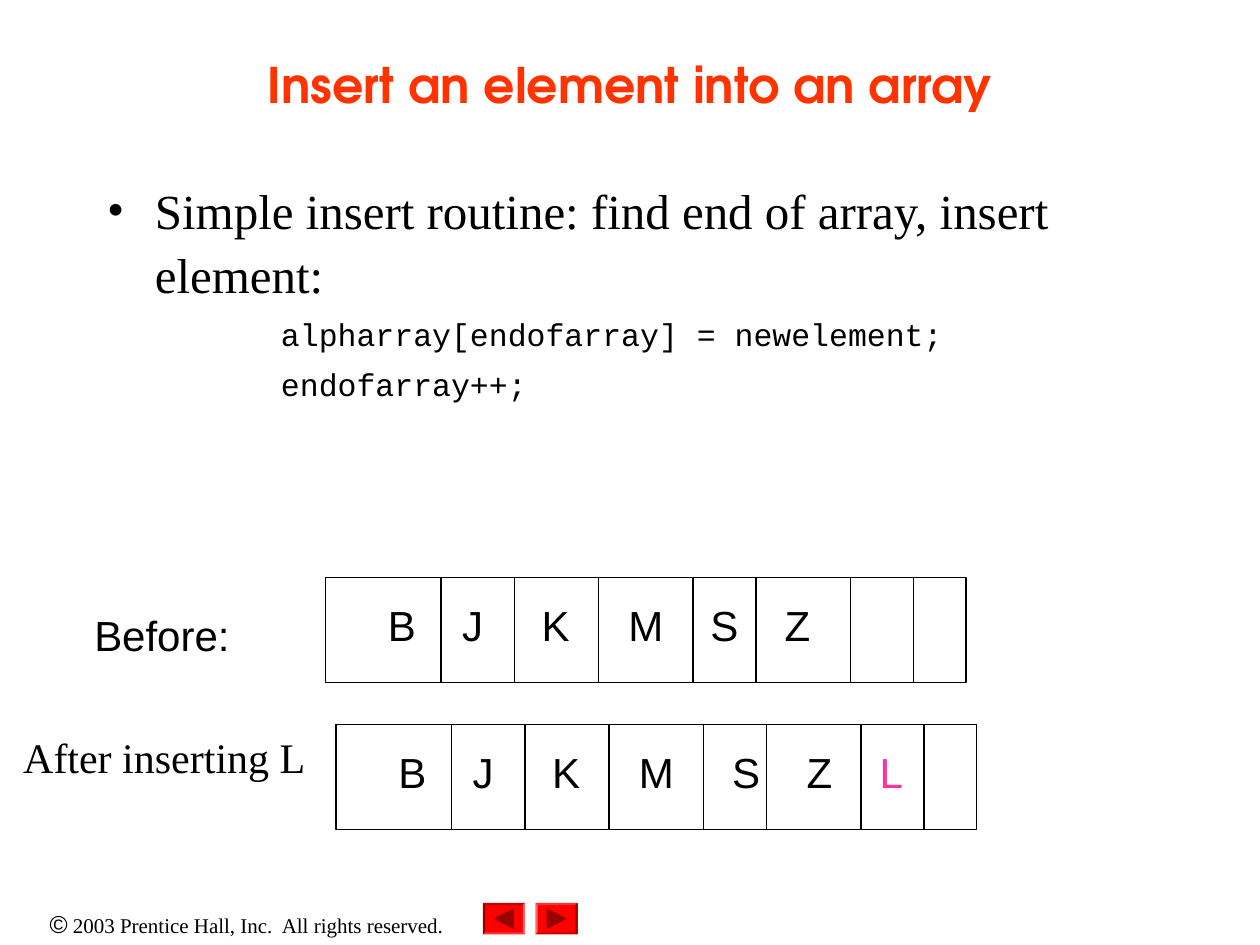
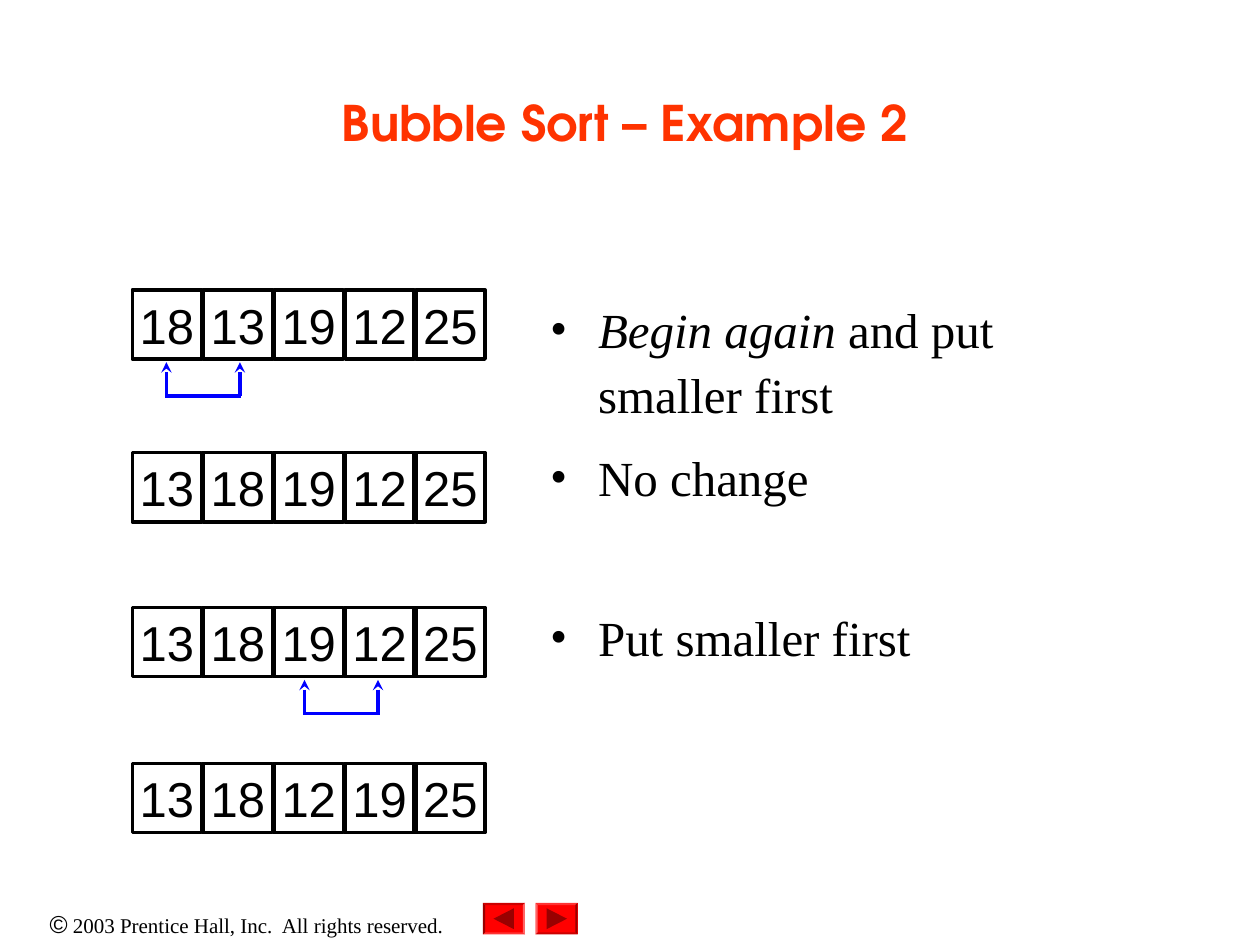
from dataclasses import dataclass
from typing import Optional

from lxml.etree import SubElement
from pptx import Presentation
from pptx.dml.color import RGBColor
from pptx.enum.shapes import MSO_CONNECTOR, MSO_SHAPE
from pptx.enum.text import MSO_ANCHOR, MSO_AUTO_SIZE, PP_ALIGN
from pptx.oxml.ns import qn
from pptx.util import Emu, Inches, Pt

# Shared look
BLACK = RGBColor(0x00, 0x00, 0x00)
BLUE = RGBColor(0x00, 0x00, 0xFF)
PINK = RGBColor(0xFF, 0x33, 0x99)
TITLE = RGBColor(0xFF, 0x33, 0x00)
RED = RGBColor(0xFF, 0x00, 0x00)
LIGHT = RGBColor(0xFF, 0x66, 0x66)
PALE = RGBColor(0xFF, 0x33, 0x33)
DIM = RGBColor(0xCC, 0x00, 0x00)
DARK = RGBColor(0x99, 0x00, 0x00)
SANS, SERIF, MONO = "Arial", "Times New Roman", "Courier New"
HEAD = "TeX Gyre Adventor"

# Grid: 120 columns by 90 rows
WIDE, HIGH = Inches(10), Inches(7.5)
COLS = 120
UNIT = WIDE / COLS


@dataclass(frozen=True)
class Box:
    x: float
    y: float
    w: float
    h: float

    def emu(self) -> tuple:
        return tuple(grid(n) for n in (self.x, self.y, self.w, self.h))


@dataclass(frozen=True)
class Run:
    text: str
    size: float
    font: str
    color: RGBColor = BLACK
    bold: bool = False
    slant: bool = False


@dataclass(frozen=True)
class Array:
    x: float
    y: float
    runs: list
    stops: list


@dataclass(frozen=True)
class Strip:
    y: float
    nums: tuple
    swap: Optional[float] = None


@dataclass(frozen=True)
class Face:
    color: RGBColor
    points: tuple


def grid(n: float) -> Emu:
    return Emu(round(n * UNIT))


# Text helpers
def add_runs(para, runs: list) -> None:
    for item in runs:
        run = para.add_run()
        run.text = item.text
        font = run.font
        font.size, font.name = Pt(item.size), item.font
        font.bold, font.italic = item.bold, item.slant
        font.color.rgb = item.color


def add_text(slide, box: Box, runs: list, align=PP_ALIGN.LEFT):
    frame = slide.shapes.add_textbox(*box.emu()).text_frame
    frame.word_wrap = True
    para = frame.paragraphs[0]
    para.alignment = align
    add_runs(para, runs)
    return para


def set_stops(para, stops: list) -> None:
    tabs = SubElement(para._p.get_or_add_pPr(), qn("a:tabLst"))
    for stop in stops:
        SubElement(tabs, qn("a:tab"), pos=str(Inches(stop)), algn="l")


def set_mark(para, left: float, mark: str = "") -> None:
    props = para._p.get_or_add_pPr()
    props.set("marL", str(Inches(left)))
    props.set("indent", str(-Inches(left) if mark else 0))
    if mark:
        color = SubElement(props, qn("a:buClr"))
        SubElement(color, qn("a:srgbClr"), val=str(BLACK))
        SubElement(props, qn("a:buFont"), typeface=SERIF)
        SubElement(props, qn("a:buChar"), char=mark)
    else:
        SubElement(props, qn("a:buNone"))


def place(shape, box: Box, anchor):
    shape.left, shape.top, shape.width, shape.height = box.emu()
    frame = shape.text_frame
    frame.word_wrap = True
    frame.auto_size = MSO_AUTO_SIZE.NONE
    frame.vertical_anchor = anchor
    return frame


def add_item(frame, runs: list, left: float = 0.38, mark: str = "•",
             before: float = 0, after: float = 0) -> None:
    first = frame.paragraphs[0]
    para = frame.add_paragraph() if first.runs else first
    set_mark(para, left, mark)
    para.alignment = PP_ALIGN.LEFT
    para.line_spacing = 1.1
    para.space_before, para.space_after = Pt(before), Pt(after)
    add_runs(para, runs)


# Shape helpers
def add_line(slide, start: tuple, end: tuple, color: RGBColor,
             width: float, arrow: bool = False) -> None:
    line = slide.shapes.add_connector(
        MSO_CONNECTOR.STRAIGHT, *(grid(n) for n in start + end))
    line.line.color.rgb, line.line.width = color, Pt(width)
    if arrow:
        SubElement(line.line._get_or_add_ln(), qn("a:headEnd"), type="stealth")
    SubElement(line._element.spPr, qn("a:effectLst"))


def add_rect(slide, box: Box, width: float):
    rect = slide.shapes.add_shape(MSO_SHAPE.RECTANGLE, *box.emu())
    rect.shadow.inherit = False
    rect.fill.background()
    rect.line.color.rgb, rect.line.width = BLACK, Pt(width)
    return rect


# Footer with two arrow buttons
KEY_W, KEY_H, RIM = 4, 3, 0.2
A, B, C, D = (0, 0), (KEY_W, 0), (KEY_W, KEY_H), (0, KEY_H)
E, F = (RIM, RIM), (KEY_W - RIM, RIM)
G, H = (KEY_W - RIM, KEY_H - RIM), (RIM, KEY_H - RIM)
FACES = (
    Face(RED, (A, B, C, D)),
    Face(PALE, (A, B, F, E)),
    Face(DARK, (B, C, G, F)),
    Face(DIM, (C, D, H, G)),
    Face(LIGHT, (D, A, E, H)),
    Face(DARK, ((1.05, 0.5), (3, 1.5), (1.05, 2.5))),
)


def add_key(slide, x: float, y: float, turn: bool) -> None:
    for face in FACES:
        dots = [(KEY_W - a, KEY_H - b) if turn else (a, b)
                for a, b in face.points]
        dots = [(grid(x + a), grid(y + b)) for a, b in dots]
        path = slide.shapes.build_freeform(*dots[0])
        path.add_line_segments(dots[1:], close=True)
        part = path.convert_to_shape()
        part.shadow.inherit = False
        part.fill.solid()
        part.fill.fore_color.rgb = face.color
        part.line.fill.background()


def add_slide(deck, title: str, box: Box, anchor, body: Box):
    slide = deck.slides.add_slide(deck.slide_layouts[1])
    add_text(slide, Box(0, 86, 47, 4.1), [
        Run("©", 14, SANS),
        Run(" 2003 Prentice Hall, Inc.  All rights reserved.", 12, SERIF),
    ], PP_ALIGN.CENTER)
    add_key(slide, 51, 86, False)
    add_key(slide, 46, 86, True)
    para = place(slide.shapes.title, box, anchor).paragraphs[0]
    para.alignment = PP_ALIGN.CENTER
    add_runs(para, [Run(title, 28, HEAD, TITLE, bold=True)])
    return slide, place(slide.placeholders[1], body, MSO_ANCHOR.TOP)


# Slide 1: array before and after the insert
SPLITS = (11, 18, 26, 35, 41, 50, 56)
ARRAYS = (
    Array(31, 55, [Run("B\tJ\tK\tM\tS\tZ", 24, SANS)],
          [0.59, 1.22, 1.91, 2.56, 3.15]),
    Array(32, 69, [Run("B\tJ\tK\tM\tS\tZ\t", 24, SANS),
                   Run("L", 24, SANS, PINK)],
          [0.59, 1.22, 1.91, 2.65, 3.24, 3.82]),
)


def add_array(slide, item: Array) -> None:
    add_rect(slide, Box(item.x, item.y, 61, 10), 1)
    para = add_text(slide, Box(item.x + 4.75, item.y + 1.55, 52, 6), item.runs)
    set_stops(para, item.stops)
    for step in SPLITS:
        x = item.x + step
        add_line(slide, (x, item.y), (x, item.y + 10), BLACK, 1)


def insert_slide(deck) -> None:
    slide, body = add_slide(deck, "Insert an element into an array",
                            Box(9, 1, 102, 14), MSO_ANCHOR.MIDDLE,
                            Box(9, 16, 102, 69))
    add_item(body, [Run("Simple insert routine: find end of array, "
                        "insert element:", 28, SERIF)])
    for code in ("alpharray[endofarray] = newelement;", "endofarray++;"):
        add_item(body, [Run(code, 18, MONO)], 1.38, "", before=4.5)
    for item in ARRAYS:
        add_array(slide, item)
    add_text(slide, Box(7.8, 57.5, 18, 6), [Run("Before:", 24, SANS)])
    add_text(slide, Box(1, 69.1, 29.3, 6),
             [Run("After inserting L", 24, SERIF)], PP_ALIGN.CENTER)


# Slide 2: bubble sort steps
CELL, PITCH, EDGE = 6.6, 6.75, 12.6
STRIPS = (
    Strip(27.6, (18, 13, 19, 12, 25), swap=15.85),
    Strip(43.1, (13, 18, 19, 12, 25)),
    Strip(57.85, (13, 18, 19, 12, 25), swap=29),
    Strip(72.7, (13, 18, 12, 19, 25)),
)


def add_strip(slide, strip: Strip) -> None:
    for i, num in enumerate(strip.nums):
        cell = add_rect(slide, Box(EDGE + i * PITCH, strip.y, CELL, CELL), 2)
        frame = cell.text_frame
        frame.word_wrap = False
        frame.vertical_anchor = MSO_ANCHOR.MIDDLE
        frame.paragraphs[0].alignment = PP_ALIGN.CENTER
        add_runs(frame.paragraphs[0], [Run(str(num), 28, SANS)])
    if strip.swap is not None:
        left, right = strip.swap, strip.swap + 7
        top, base = strip.y + 6.9, strip.y + 10.1
        for x in (left, right):
            add_line(slide, (x, top), (x, base), BLUE, 2, arrow=True)
        add_line(slide, (left - 0.1, base), (right + 0.15, base), BLUE, 2)


def sort_slide(deck) -> None:
    slide, body = add_slide(deck, "Bubble Sort – Example 2",
                            Box(8, 0, 103, 15), MSO_ANCHOR.BOTTOM,
                            Box(51.2, 27.4, 49.2, 53.9))
    add_item(body, [Run("Begin again", 28, SERIF, slant=True),
                    Run(" and put smaller first", 28, SERIF)], after=10.5)
    add_item(body, [Run("No change", 28, SERIF)], after=10.5)
    add_item(body, [Run("Put smaller first", 28, SERIF)],
             before=44, after=10.5)
    for strip in STRIPS:
        add_strip(slide, strip)


def main() -> None:
    deck = Presentation()
    deck.slide_width, deck.slide_height = WIDE, HIGH
    insert_slide(deck)
    sort_slide(deck)
    deck.save("out.pptx")


if __name__ == "__main__":
    main()
